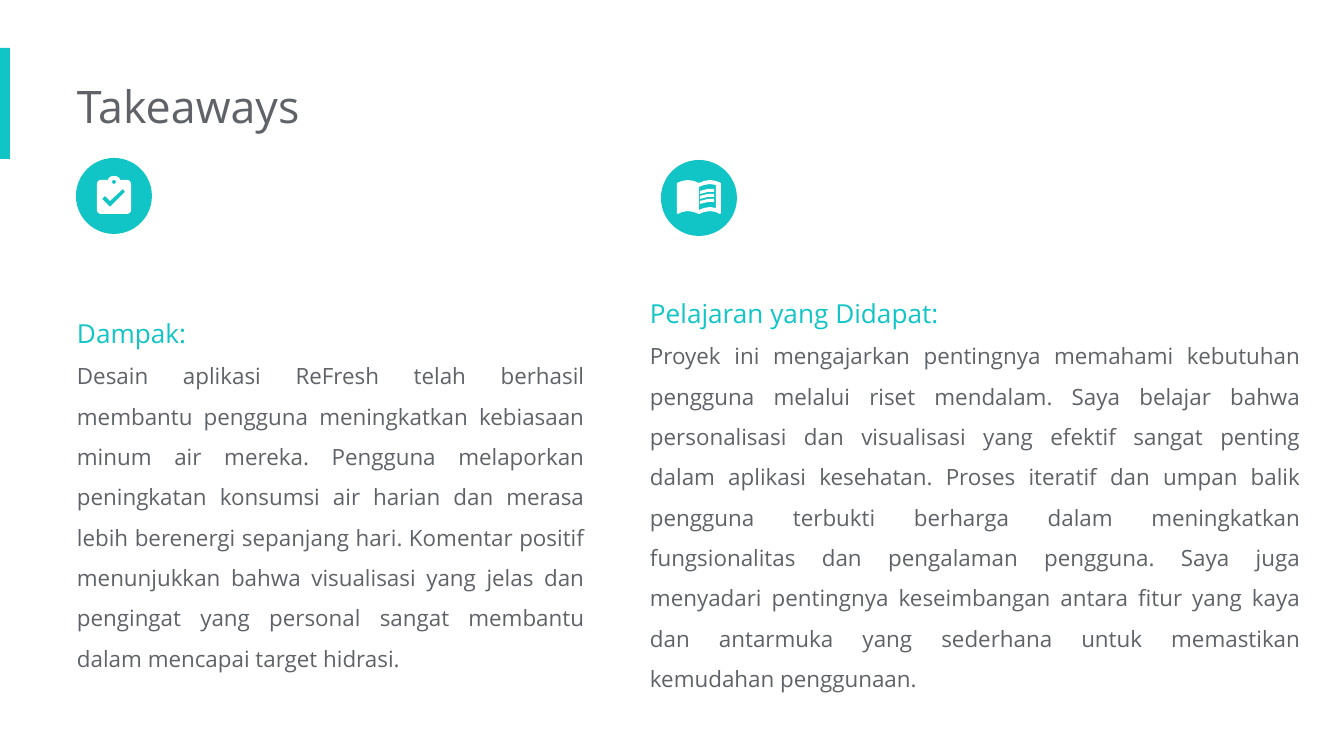
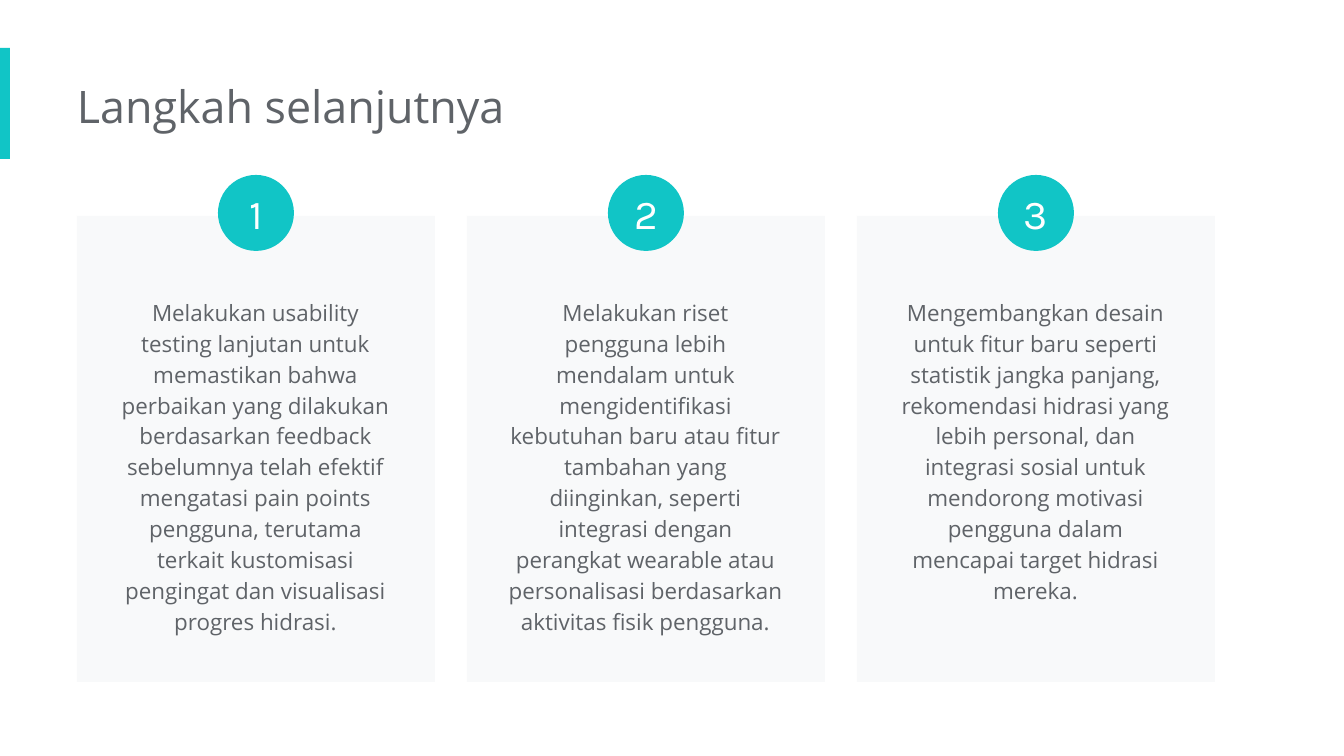
import math
from dataclasses import dataclass

import pptx
import pptx.dml.color
import pptx.enum.shapes
import pptx.enum.text
import pptx.util

SLIDE_W, SLIDE_H = 1344, 756
SHAPE = pptx.enum.shapes.MSO_SHAPE
ALIGN = pptx.enum.text.PP_ALIGN
ANCHOR = pptx.enum.text.MSO_ANCHOR
AUTO_SIZE = pptx.enum.text.MSO_AUTO_SIZE


@dataclass(frozen=True)
class Theme:
    accent: str = "11C5C6"
    ink: str = "5F6368"
    panel: str = "F8F9FA"
    white: str = "FFFFFF"
    font: str = "Open Sans"
    number_font: str = "Karla"
    title: int = 24
    number: int = 22
    heading: int = 14
    body: int = 12
    inset: int = 13
    left: int = 77
    badge: int = 76


THEME = Theme()


def px(n):
    return pptx.util.Emu(round(n * 9144000 / SLIDE_W))


def rgb(color):
    return pptx.dml.color.RGBColor.from_string(color)


# Shared helpers
def paint(sp, color):
    sp.shadow.inherit = False
    sp.fill.solid()
    sp.fill.fore_color.rgb = rgb(color)
    sp.line.fill.background()
    return sp


def add_block(slide, kind, box, color):
    return paint(slide.shapes.add_shape(kind, *map(px, box)), color)


def add_badge(slide, x, y):
    return add_block(slide, SHAPE.OVAL, (x, y, THEME.badge, THEME.badge), THEME.accent)


def set_frame(tf, left, inset, auto_size, anchor=ANCHOR.TOP):
    tf.word_wrap = True
    tf.auto_size = auto_size
    tf.vertical_anchor = anchor
    tf.margin_left = px(left)
    tf.margin_top = tf.margin_right = tf.margin_bottom = px(inset)


def write(p, text, size, color, align=ALIGN.LEFT, spacing=1.0, font=THEME.font):
    p.text = text
    p.alignment = align
    p.line_spacing = spacing
    for r in p.runs:
        r.font.name = font
        r.font.size = pptx.util.Pt(size)
        r.font.color.rgb = rgb(color)


def add_text(slide, box, left_inset):
    tf = slide.shapes.add_textbox(*map(px, box)).text_frame
    set_frame(tf, left_inset, THEME.inset, AUTO_SIZE.SHAPE_TO_FIT_TEXT)
    return tf


def add_titled_slide(prs, title):
    slide = prs.slides.add_slide(prs.slide_layouts[5])
    add_block(slide, SHAPE.RECTANGLE, (0, 48, 10, 111), THEME.accent)
    sp = slide.shapes.title
    sp.left, sp.top, sp.width, sp.height = map(px, (THEME.left, 66, 724, 82))
    set_frame(sp.text_frame, 0, THEME.inset, AUTO_SIZE.SHAPE_TO_FIT_TEXT)
    write(sp.text_frame.paragraphs[0], title, THEME.title, THEME.ink)
    return slide


# Icons, drawn relative to the corner of their badge
def add_outline(slide, x, y, contours):
    placed = [[(px(x + a), px(y + b)) for a, b in contour] for contour in contours]
    builder = slide.shapes.build_freeform(*placed[0][0], scale=1.0)
    for i, contour in enumerate(placed):
        if i:
            builder.move_to(*contour[0])
        builder.add_line_segments(contour[1:], close=True)
    paint(builder.convert_to_shape(), THEME.white)


def arc(cx, cy, rx, ry, start, end, steps=8):
    angles = [math.radians(start + (end - start) * i / steps) for i in range(steps + 1)]
    return [(cx + rx * math.cos(a), cy + ry * math.sin(a)) for a in angles]


def add_clipboard(slide, x, y):
    left, top, right, bottom, radius, mid = 21, 22, 55, 56, 4, 38
    corners = [
        (right - radius, top + radius, 270),
        (right - radius, bottom - radius, 0),
        (left + radius, bottom - radius, 90),
        (left + radius, top + radius, 180),
    ]
    board = arc(mid, top, 6, 4, 180, 360)
    for cx, cy, start in corners:
        board += arc(cx, cy, radius, radius, start, start + 90)
    pin = arc(mid, top + 2, 2, 2, 0, 360, 16)
    check = [(34, 49), (26, 41), (29, 38), (34, 43), (47, 31), (49, 34)]
    add_outline(slide, x, y, [board, pin, check])


def add_book(slide, x, y):
    spine = 38
    top = [(16, 23), (21, 21), (27, 20), (33, 21), (spine, 23)]
    bottom = [(spine, 54), (33, 52), (27, 51), (21, 52), (17, 54), (16, 53)]
    mirror = lambda points: [(2 * spine - a, b) for a, b in reversed(points)]
    cover = top + mirror(top)[1:] + mirror(bottom)[:-1] + bottom
    page = [(38, 27), (43, 25), (49, 24), (55, 25), (55, 48), (49, 47), (43, 48), (38, 50)]
    add_outline(slide, x, y, [cover, page])
    line = [(39, 31), (43, 30), (47, 29), (53, 29), (53, 32), (47, 32), (43, 33), (39, 34)]
    for row in range(3):
        add_outline(slide, x, y + 5 * row, [line])


# Takeaways: an icon badge above a heading and a justified paragraph
def add_takeaway(slide, badge, icon, box, heading, heading_align, body):
    add_badge(slide, *badge)
    icon(slide, *badge)
    tf = add_text(slide, box, 0)
    write(tf.paragraphs[0], heading, THEME.heading, THEME.accent, heading_align, 1.5)
    write(tf.add_paragraph(), body, THEME.body, THEME.ink, ALIGN.JUSTIFY, 1.5)


def build_takeaways(prs):
    slide = add_titled_slide(prs, "Takeaways")
    add_takeaway(
        slide, (76, 158), add_clipboard, (THEME.left, 289, 521, 400),
        "Dampak:", ALIGN.JUSTIFY,
        "Desain aplikasi ReFresh telah berhasil membantu pengguna meningkatkan "
        "kebiasaan minum air mereka. Pengguna melaporkan peningkatan konsumsi air "
        "harian dan merasa lebih berenergi sepanjang hari. Komentar positif "
        "menunjukkan bahwa visualisasi yang jelas dan pengingat yang personal "
        "sangat membantu dalam mencapai target hidrasi.",
    )
    add_takeaway(
        slide, (661, 160), add_book, (650, 269, 664, 441),
        "Pelajaran yang Didapat:", ALIGN.LEFT,
        "Proyek ini mengajarkan pentingnya memahami kebutuhan pengguna melalui "
        "riset mendalam. Saya belajar bahwa personalisasi dan visualisasi yang "
        "efektif sangat penting dalam aplikasi kesehatan. Proses iteratif dan "
        "umpan balik pengguna terbukti berharga dalam meningkatkan fungsionalitas "
        "dan pengalaman pengguna. Saya juga menyadari pentingnya keseimbangan "
        "antara fitur yang kaya dan antarmuka yang sederhana untuk memastikan "
        "kemudahan penggunaan.",
    )


# Next steps: numbered cards in equal columns
STEPS = [
    ("Melakukan usability testing lanjutan untuk memastikan bahwa perbaikan yang "
     "dilakukan berdasarkan feedback sebelumnya telah efektif mengatasi pain points "
     "pengguna, terutama terkait kustomisasi pengingat dan visualisasi progres "
     "hidrasi.", 371),
    ("Melakukan riset pengguna lebih mendalam untuk mengidentifikasi kebutuhan baru "
     "atau fitur tambahan yang diinginkan, seperti integrasi dengan perangkat "
     "wearable atau personalisasi berdasarkan aktivitas fisik pengguna.", 371),
    ("Mengembangkan desain untuk fitur baru seperti statistik jangka panjang, "
     "rekomendasi hidrasi yang lebih personal, dan integrasi sosial untuk mendorong "
     "motivasi pengguna dalam mencapai target hidrasi mereka.", 339),
]


def add_step(slide, box, number, body, body_h):
    x, y, w, h = box
    add_block(slide, SHAPE.RECTANGLE, box, THEME.panel)
    tf = add_text(slide, (x + 28, y + 66, w - 57, body_h), THEME.inset)
    write(tf.paragraphs[0], body, THEME.body, THEME.ink, ALIGN.CENTER, 1.15)
    tf = add_badge(slide, x + (w - THEME.badge) // 2, y - 41).text_frame
    set_frame(tf, 0, 0, AUTO_SIZE.NONE, ANCHOR.MIDDLE)
    write(tf.paragraphs[0], str(number), THEME.number, THEME.white,
          ALIGN.CENTER, font=THEME.number_font)


def build_next_steps(prs):
    slide = add_titled_slide(prs, "Langkah selanjutnya")
    card_w, gap = 358, 32
    for i, (body, body_h) in enumerate(STEPS):
        box = (THEME.left + i * (card_w + gap), 216, card_w, 466)
        add_step(slide, box, i + 1, body, body_h)


def main():
    prs = pptx.Presentation()
    prs.slide_width, prs.slide_height = px(SLIDE_W), px(SLIDE_H)
    build_takeaways(prs)
    build_next_steps(prs)
    prs.save("out.pptx")


if __name__ == "__main__":
    main()
